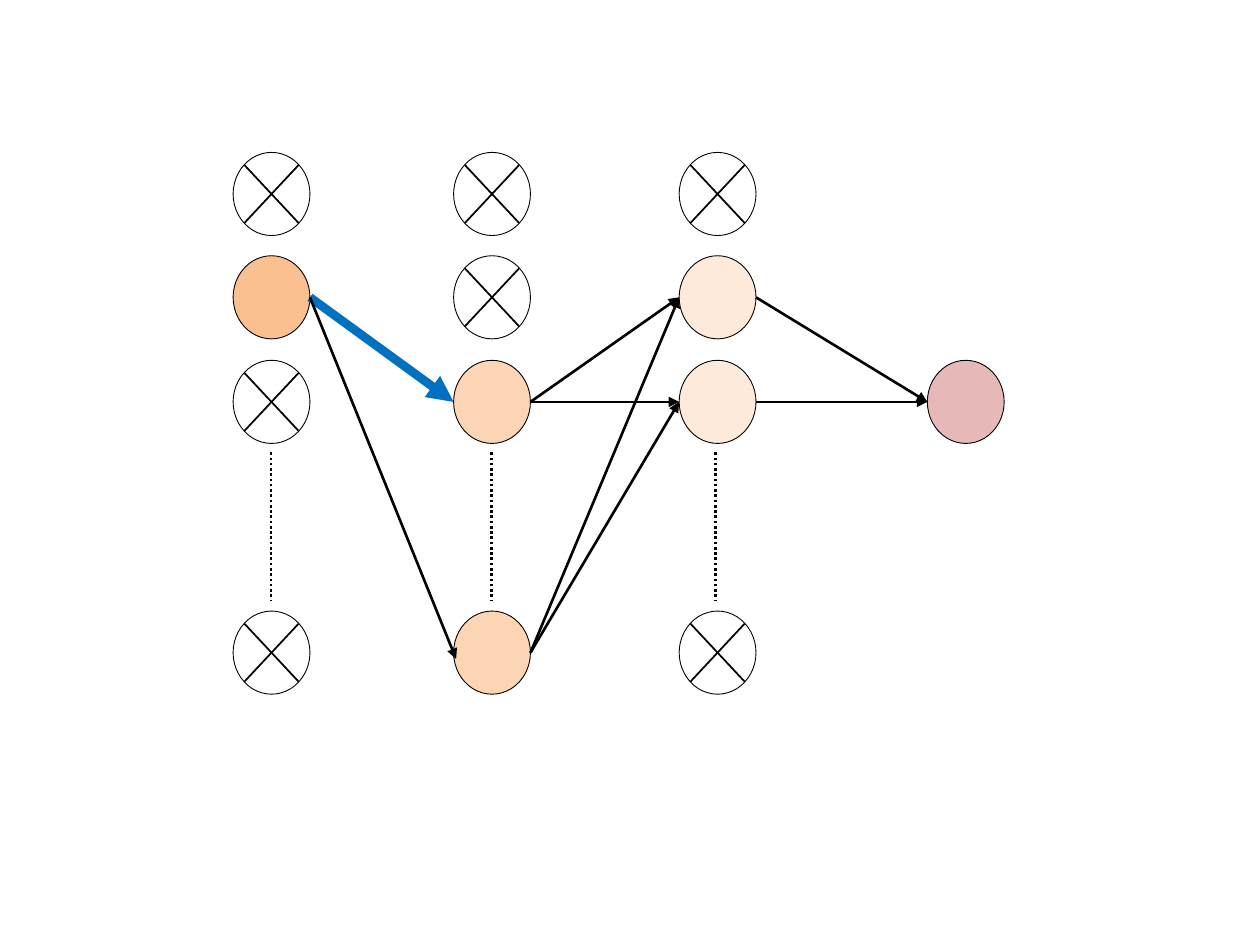
from lxml.etree import SubElement
from pptx import Presentation
from pptx.dml.color import RGBColor
from pptx.enum.dml import MSO_LINE
from pptx.enum.shapes import MSO_CONNECTOR, MSO_SHAPE
from pptx.oxml.ns import qn
from pptx.util import Inches, Pt

BLACK = RGBColor(0x00, 0x00, 0x00)
BLUE = RGBColor(0x00, 0x70, 0xC0)
ORANGE = RGBColor(0xFA, 0xC0, 0x90)
PEACH = RGBColor(0xFC, 0xD5, 0xB5)
CREAM = RGBColor(0xFD, 0xEA, 0xDA)
ROSE = RGBColor(0xE6, 0xB9, 0xB8)

# Node size and grid, in inches
NODE_WIDTH, NODE_HEIGHT = 0.61, 0.66
CROSS_X, CROSS_Y = 0.09, 0.1
COLUMNS = [1.85, 3.6, 5.39, 7.36]
ROWS = [1.21, 2.03, 2.86, 4.85]
DOTS_X = [2.15, 3.9, 5.68]
DOTS_TOP, DOTS_BOTTOM = 3.59, 4.77

# Active nodes by (column, row); the others in the layers are crossed out
ACTIVE = {
    (0, 1): ORANGE,
    (1, 2): PEACH,
    (1, 3): PEACH,
    (2, 1): CREAM,
    (2, 2): CREAM,
}
OUTPUT = (3, 2)

# Black links from node to node
LINKS = [
    ((1, 2), (2, 2)),
    ((2, 2), OUTPUT),
    ((1, 3), (2, 2)),
    ((1, 2), (2, 1)),
    ((1, 3), (2, 1)),
    ((2, 1), OUTPUT),
]


def corner(node):
    column, row = node
    return COLUMNS[column], ROWS[row]


def left_side(node):
    left, top = corner(node)
    return left, top + NODE_HEIGHT / 2


def right_side(node):
    left, middle = left_side(node)
    return left + NODE_WIDTH, middle


def add_line(page, start, end, width, color=BLACK, dash=None, arrow=False):
    line = page.shapes.add_connector(
        MSO_CONNECTOR.STRAIGHT, *(Inches(value) for value in (*start, *end)))
    line.line.color.rgb = color
    formats = {"width": Pt(width), "dash_style": dash}
    for name, value in formats.items():
        setattr(line.line, name, value)
    if arrow:
        SubElement(line.line._get_or_add_ln(), qn("a:tailEnd"), type="triangle")
    SubElement(line._element.spPr, qn("a:effectLst"))


def add_node(page, node, color=None):
    left, top = corner(node)
    circle = page.shapes.add_shape(
        MSO_SHAPE.OVAL, Inches(left), Inches(top),
        Inches(NODE_WIDTH), Inches(NODE_HEIGHT))
    circle.shadow.inherit = False
    circle.line.color.rgb = BLACK
    circle.line.width = Pt(0.5)
    if color is None:
        circle.fill.background()
    else:
        circle.fill.solid()
        circle.fill.fore_color.rgb = color


def add_cross(page, node):
    left, top = corner(node)
    x1, x2 = left + CROSS_X, left + NODE_WIDTH - CROSS_X
    y1, y2 = top + CROSS_Y, top + NODE_HEIGHT - CROSS_Y
    add_line(page, (x1, y1), (x2, y2), 1)
    add_line(page, (x1, y2), (x2, y1), 1)


def main():
    deck = Presentation()
    deck.slide_width, deck.slide_height = Inches(10), Inches(7.5)
    page = deck.slides.add_slide(deck.slide_layouts[6])

    # Output node and the three layers
    add_node(page, OUTPUT, ROSE)
    for column, dots_x in enumerate(DOTS_X):
        for row in range(len(ROWS)):
            node = (column, row)
            add_node(page, node, ACTIVE.get(node))
            if node not in ACTIVE:
                add_cross(page, node)
        add_line(page, (dots_x, DOTS_TOP), (dots_x, DOTS_BOTTOM), 1.5,
                 dash=MSO_LINE.ROUND_DOT)

    # Links from the first layer, the highlighted one first
    start = right_side((0, 1))
    add_line(page, start, left_side((1, 2)), 5, BLUE, arrow=True)
    add_line(page, start, (3.62, 5.23), 1.5, arrow=True)

    # Links between the later layers
    for source, target in LINKS:
        add_line(page, right_side(source), left_side(target), 1.5, arrow=True)

    deck.save("out.pptx")


if __name__ == "__main__":
    main()
